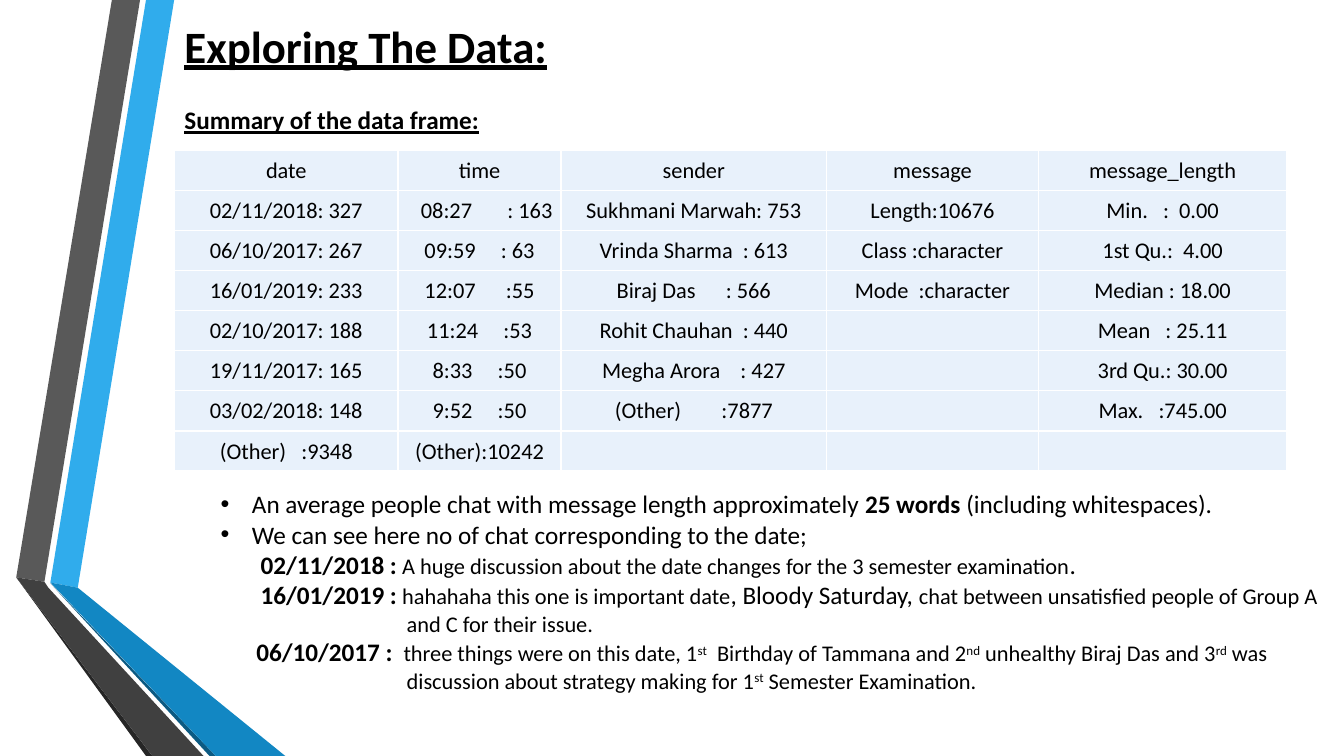
from lxml import etree
from pptx import Presentation
from pptx.dml.color import RGBColor as RGB
from pptx.enum.text import MSO_ANCHOR as Anchor, PP_ALIGN as Align
from pptx.oxml.ns import qn
from pptx.util import Cm, Pt

# Content
TITLE = "Exploring The Data:"
SUBTITLE = "Summary of the data frame:"
SUMMARY = [
    ("date", "time", "sender", "message", "message_length"),
    ("02/11/2018: 327", "08:27       : 163", "Sukhmani Marwah: 753", "Length:10676", "Min.   :  0.00"),
    ("06/10/2017: 267", "09:59     : 63", "Vrinda Sharma  : 613", "Class :character", "1st Qu.:  4.00"),
    ("16/01/2019: 233", "12:07      :55", "Biraj Das      : 566", "Mode  :character", "Median : 18.00"),
    ("02/10/2017: 188", "11:24     :53", "Rohit Chauhan  : 440", "", "Mean   : 25.11"),
    ("19/11/2017: 165", "8:33     :50", "Megha Arora    : 427", "", "3rd Qu.: 30.00"),
    ("03/02/2018: 148", "9:52     :50", "(Other)        :7877", "", "Max.   :745.00"),
    ("(Other)   :9348", "(Other):10242", "", "", ""),
]
# Each finding: first-line start and left margin in cm, bullet, runs of (text, style)
FINDINGS = [
    (0, 0.79, "•", [("An average people chat with message length approximately ", "body"),
                    ("25 words ", "strong"), ("(including whitespaces).", "body")]),
    (0, 0.79, "•", [("We can see here no of chat corresponding to the date;", "body")]),
    (1.01, 4.69, None, [("02/11/2018 :", "strong"),
                        (" A huge discussion about the date changes for the 3 semester examination", "detail"),
                        (".", "body")]),
    (1.01, 4.69, None, [("16/01/2019 :", "strong"), (" hahahaha this one is important date", "detail"),
                        (", Bloody Saturday, ", "body"),
                        ("chat between unsatisfied people of Group A and C for their issue.", "detail")]),
    (0.9, 4.69, None, [("06/10/2017 : ", "strong"), (" three things were on this date, 1", "detail"),
                       ("st", "raised"), ("  Birthday of Tammana and 2", "detail"), ("nd", "raised"),
                       (" unhealthy Biraj Das and 3", "detail"), ("rd", "raised"),
                       (" was discussion about strategy making for 1", "detail"), ("st", "raised"),
                       (" Semester Examination.", "detail")]),
]
# Ribbon facets: colour name and corners in cm
RIBBONS = [
    ("blue", [(1.27, 14.68), (1.96, 14.81), (4.39, 0), (3.68, 0)]),
    ("grey", [(3.53, 0), (2.82, 0), (0.41, 14.55), (1.12, 14.66)]),
    ("grey_edge", [(0.41, 14.55), (3.68, 19.05), (3.84, 19.05)]),
    ("blue_edge", [(1.27, 14.7), (5.28, 19.05), (5.44, 19.05)]),
    ("blue_fold", [(1.27, 14.68), (5.44, 19.05), (7.19, 19.05), (1.96, 14.81)]),
    ("grey_fold", [(5.13, 19.05), (1.22, 14.81), (1.12, 14.66), (0.41, 14.55), (3.84, 19.05)]),
]

THEME = {
    "font": "Calibri", "text": "000000", "cell": "E8F1FB", "border": "FFFFFF",
    "blue": "30ACEC", "blue_edge": "0C5A82", "blue_fold": "1287C3",
    "grey": "595959", "grey_edge": "262626", "grey_fold": "404040",
    "title": 32, "body": 18, "strong": 18, "detail": 16, "raised": 16,
}

# Layout, in cm
TABLE_LEFT, TABLE_TOP = 4.4, 3.79
COLUMNS = [5.63, 4.11, 6.69, 5.34, 6.26]
ROW_HEIGHT = 1.01
CELL_MARGIN = 0.02
FIRST_TIME_SHIFT = 0.38


def style(font, size, bold=False, underline=False):
    font.name, font.size = THEME["font"], Pt(THEME[size])
    font.color.rgb = RGB.from_string(THEME["text"])
    font.bold, font.underline = bold, underline


def text_frame(left, top, width, height):
    frame = slide.shapes.add_textbox(Cm(left), Cm(top), Cm(width), Cm(height)).text_frame
    frame.word_wrap = True
    return frame


def heading(text, size, *place):
    frame = text_frame(*place)
    frame.vertical_anchor = Anchor.MIDDLE
    frame.text = text
    style(frame.paragraphs[0].font, size, bold=True, underline=True)


def border(cell):
    props = cell._tc.get_or_add_tcPr()
    for position, side in enumerate(("a:lnL", "a:lnR", "a:lnT", "a:lnB")):
        line = etree.Element(qn(side), w=str(Pt(1)))
        fill = etree.SubElement(line, qn("a:solidFill"))
        etree.SubElement(fill, qn("a:srgbClr"), val=THEME["border"])
        props.insert(position, line)


deck = Presentation()
deck.slide_width, deck.slide_height = Cm(33.87), Cm(19.05)
slide = deck.slides.add_slide(deck.slide_layouts[6])

# Folded ribbons
for colour, corners in RIBBONS:
    points = [(round(x * 100), round(y * 100)) for x, y in corners]
    outline = slide.shapes.build_freeform(*points[0], scale=Cm(0.01))
    outline.add_line_segments(points[1:], close=True)
    ribbon = outline.convert_to_shape()
    ribbon.shadow.inherit = False
    ribbon.fill.solid()
    ribbon.fill.fore_color.rgb = RGB.from_string(THEME[colour])
    ribbon.line.fill.background()

# Headings
heading(TITLE, "title", 4.4, 0.05, 27.84, 2.18)
heading(SUBTITLE, "body", 4.4, 2.5, 8.7, 1.03)

# Summary table
summary = slide.shapes.add_table(
    len(SUMMARY), len(COLUMNS), Cm(TABLE_LEFT), Cm(TABLE_TOP),
    Cm(sum(COLUMNS)), Cm(ROW_HEIGHT * len(SUMMARY))).table
summary.first_row = summary.horz_banding = False
for column, width in zip(summary.columns, COLUMNS):
    column.width = Cm(width)
for r, values in enumerate(SUMMARY):
    summary.rows[r].height = Cm(ROW_HEIGHT)
    for c, value in enumerate(values):
        cell = summary.cell(r, c)
        cell.text = value
        cell.vertical_anchor = Anchor.MIDDLE
        cell.margin_left = cell.margin_right = cell.margin_top = Cm(CELL_MARGIN)
        cell.margin_bottom = 0
        cell.fill.solid()
        cell.fill.fore_color.rgb = RGB.from_string(THEME["cell"])
        cell.text_frame.paragraphs[0].alignment = Align.CENTER
        style(cell.text_frame.paragraphs[0].font, "detail")
        border(cell)
summary.cell(1, 1).margin_left = Cm(FIRST_TIME_SHIFT)

# Findings
findings = text_frame(5.31, 12.19, 28.55, 6.15)
for index, (start, margin, bullet, parts) in enumerate(FINDINGS):
    finding = findings.add_paragraph() if index else findings.paragraphs[0]
    props = finding._p.get_or_add_pPr()
    props.set("marL", str(Cm(margin)))
    props.set("indent", str(Cm(start - margin)))
    if bullet:
        etree.SubElement(props, qn("a:buFont"), typeface="Arial")
        etree.SubElement(props, qn("a:buChar"), char=bullet)
    for text, kind in parts:
        run = finding.add_run()
        run.text = text
        style(run.font, kind, bold=kind == "strong")
        if kind == "raised":
            run._r.get_or_add_rPr().set("baseline", "30000")

deck.save("out.pptx")
